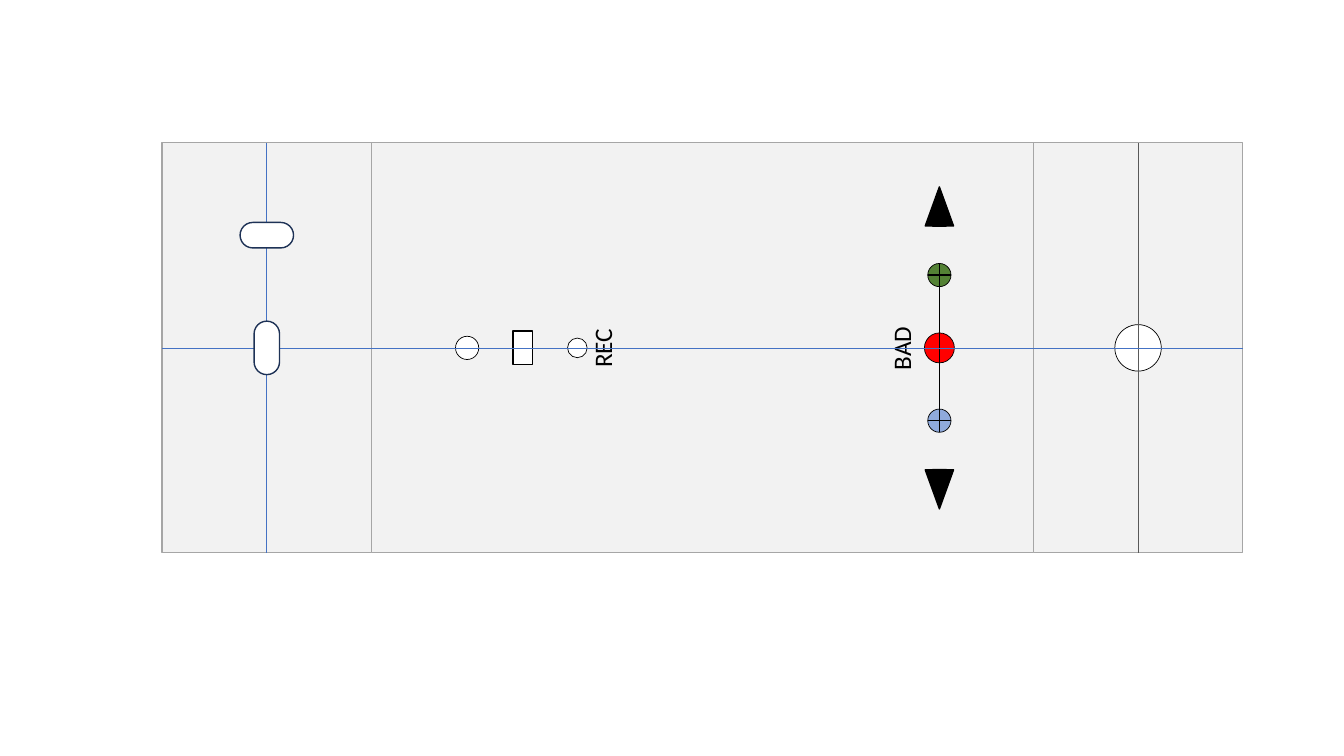
import pptx
import pptx.util
import pptx.dml.color
import pptx.enum.shapes
import pptx.enum.text
import pptx.oxml

Pt = pptx.util.Pt
SHAPES = pptx.enum.shapes.MSO_SHAPE
COLORS = {
    "panel": "F2F2F2",
    "panel_edge": "A6A6A6",
    "black": "000000",
    "white": "FFFFFF",
    "blue": "8FAADC",
    "green": "548235",
    "red": "FF0000",
    "axis": "4472C4",
    "gray_axis": "595959",
    "slot_edge": "1E3256",
}


def color(name):
    return pptx.dml.color.RGBColor.from_string(COLORS[name])


def write_text(shape, text, size=18, font="Calibri", fill="black"):
    paragraph = shape.text_frame.paragraphs[0]
    paragraph.alignment = pptx.enum.text.PP_ALIGN.LEFT
    run = paragraph.add_run()
    run.text = text
    run.font.size = Pt(size)
    run.font.name = font
    run.font.color.rgb = color(fill)


class Drawing:
    def __init__(self, slide):
        self.slide = slide

    def shape(self, kind, center_x, center_y, width, height, fill="white",
              edge="black", weight=0.5, rotation=0, adjustments=()):
        shape = self.slide.shapes.add_shape(
            kind, Pt(center_x - width / 2), Pt(center_y - height / 2), Pt(width), Pt(height))
        shape.shadow.inherit = False
        shape.fill.solid()
        shape.fill.fore_color.rgb = color(fill)
        shape.line.color.rgb = color(edge)
        shape.line.width = Pt(weight)
        shape.rotation = rotation
        for index, value in enumerate(adjustments):
            shape.adjustments[index] = value
        return shape

    def circle(self, center_x, center_y, diameter, fill="white"):
        return self.shape(SHAPES.OVAL, center_x, center_y, diameter, diameter, fill)

    def panel(self, left, right):
        return self.shape(SHAPES.RECTANGLE, (left + right) / 2, MIDDLE, right - left,
                          PANEL_HEIGHT, "panel", "panel_edge", 0.75)

    def slot(self, center_x, center_y, rotation=0):
        self.shape(SHAPES.ROUNDED_RECTANGLE, center_x, center_y, 38.2, 18.2,
                   edge="slot_edge", weight=1, rotation=rotation, adjustments=[0.5])

    def line(self, x1, y1, x2, y2, stroke="black", weight=1):
        connector = self.slide.shapes.add_connector(
            pptx.enum.shapes.MSO_CONNECTOR.STRAIGHT, Pt(x1), Pt(y1), Pt(x2), Pt(y2))
        connector.line.color.rgb = color(stroke)
        connector.line.width = Pt(weight)
        connector._element.spPr.append(pptx.oxml.parse_xml(
            '<a:effectLst xmlns:a="http://schemas.openxmlformats.org/drawingml/2006/main"/>'))
        return connector

    def axis(self, start, start_side, end, end_side, stroke="axis"):
        connector = self.line(0, 0, 0, 0, stroke, 0.5)
        connector.begin_connect(start, start_side)
        connector.end_connect(end, end_side)

    def label(self, text, center_x, width, height=29):
        box = self.slide.shapes.add_textbox(
            Pt(center_x - width / 2), Pt(MIDDLE - height / 2), Pt(width), Pt(height))
        box.rotation = 270
        box.text_frame.word_wrap = False
        box.text_frame.auto_size = pptx.enum.text.MSO_AUTO_SIZE.SHAPE_TO_FIT_TEXT
        write_text(box, text)


MIDDLE = 248.5
PANEL_HEIGHT = 293
PANEL_EDGES = [115.7, 265.5, 738, 887.8]
BUTTON_X = 671
BUTTON_GAP = 52
BUTTON_SIZE = 16.6
ARROW_GAP = 101


def main():
    presentation = pptx.Presentation()
    presentation.slide_width = Pt(960)
    presentation.slide_height = Pt(540)
    drawing = Drawing(presentation.slides.add_slide(presentation.slide_layouts[6]))

    left, inner_left, inner_right, right = PANEL_EDGES
    drawing.panel(inner_left, inner_right)

    drawing.circle(333.7, MIDDLE, BUTTON_SIZE)
    drawing.shape(SHAPES.RECTANGLE, 373.4, MIDDLE, 13.8, 24, weight=1)
    drawing.circle(412.4, MIDDLE, 14)

    button_rows = [MIDDLE - BUTTON_GAP, MIDDLE + BUTTON_GAP]
    for row, fill in zip(button_rows, ["green", "blue"]):
        drawing.circle(BUTTON_X, row, BUTTON_SIZE, fill)
    drawing.circle(BUTTON_X, MIDDLE, 21.4, "red")
    for direction, rotation in [(-1, 270), (1, 90)]:
        drawing.shape(SHAPES.RIGHT_ARROW, BUTTON_X, MIDDLE + direction * ARROW_GAP, 28, 20.2,
                      "black", weight=1, rotation=rotation, adjustments=[0.5, 1.38])
    radius = BUTTON_SIZE / 2
    drawing.line(BUTTON_X, button_rows[0] - radius, BUTTON_X, button_rows[1] + radius)
    for row in button_rows:
        drawing.line(BUTTON_X - radius, row, BUTTON_X + radius, row)

    right_panel = drawing.panel(inner_right, right)
    drawing.circle((inner_right + right) / 2, MIDDLE, 33.2)
    drawing.axis(right_panel, 2, right_panel, 0, "gray_axis")

    drawing.label("BAD", 643.7, 46)
    drawing.label("REC", 430.2, 42.5)

    left_panel = drawing.panel(left, inner_left)
    left_center = (left + inner_left) / 2
    drawing.axis(left_panel, 0, left_panel, 2)
    drawing.axis(left_panel, 1, right_panel, 3)
    drawing.slot(left_center, 168)
    drawing.slot(left_center, MIDDLE, 270)

    presentation.save("out.pptx")


if __name__ == "__main__":
    main()
